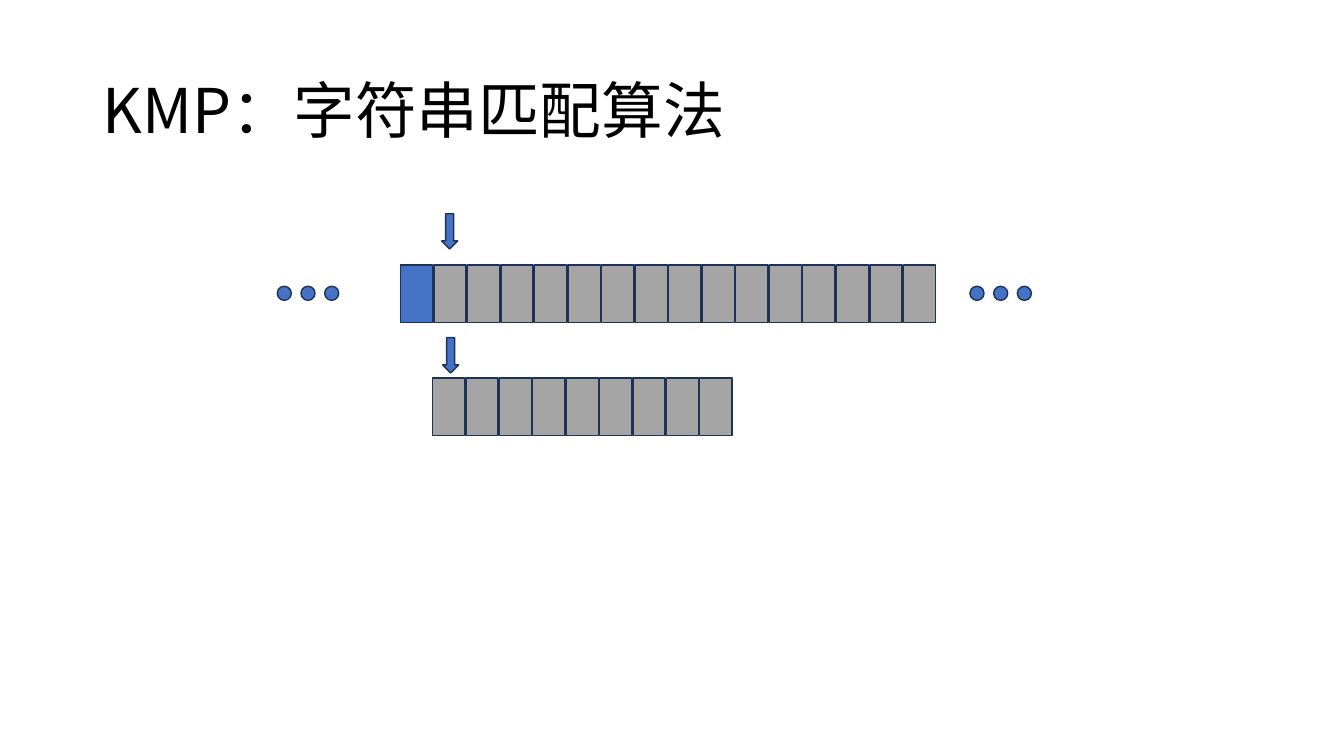
from lxml import etree
from pptx import Presentation
from pptx.dml.color import RGBColor
from pptx.enum.shapes import MSO_SHAPE
from pptx.enum.text import MSO_ANCHOR, PP_ALIGN
from pptx.oxml.ns import qn
from pptx.util import Inches, Pt

RECTANGLE = MSO_SHAPE.RECTANGLE
OVAL = MSO_SHAPE.OVAL
DOWN_ARROW = MSO_SHAPE.DOWN_ARROW
MIDDLE = MSO_ANCHOR.MIDDLE
LEFT = PP_ALIGN.LEFT

FONT = "Noto Sans CJK SC"
BLACK = "000000"
BLUE = "4472C4"
GRAY = "A5A5A5"
NAVY = "1E3256"

CELL_WIDTH, CELL_HEIGHT = 0.32, 0.57
DOT_SIZE, DOT_PITCH = 0.14, 0.235


def color(hex_string):
    return RGBColor.from_string(hex_string)


def add_title(slide, text):
    title = slide.shapes.title
    title.left, title.top = Inches(0.92), Inches(0.4)
    title.width, title.height = Inches(11.5), Inches(1.45)
    title.text_frame.vertical_anchor = MIDDLE
    title.text_frame.word_wrap = True
    paragraph = title.text_frame.paragraphs[0]
    run = paragraph.add_run()
    run.text = text
    paragraph.alignment = LEFT
    paragraph.line_spacing = 0.9
    run.font.size = Pt(44)
    run.font.name = FONT
    run.font.color.rgb = color(BLACK)
    latin = run.font._element.find(qn("a:latin"))
    east_asian = etree.Element(qn("a:ea"), typeface=FONT)
    latin.addnext(east_asian)


def add_figure(shapes, kind, left, top, width, height, fill):
    """Add an outlined preset shape to a slide or a group."""
    shape = shapes.add_shape(
        kind, Inches(left), Inches(top), Inches(width), Inches(height))
    shape.shadow.inherit = False
    shape.fill.solid()
    shape.fill.fore_color.rgb = color(fill)
    shape.line.color.rgb = color(NAVY)
    shape.line.width = Pt(1)


def add_cells(slide, first_left, last_left, top, fills):
    """Add a row of character cells spread evenly between two left edges."""
    pitch = (last_left - first_left) / (len(fills) - 1)
    for index, fill in enumerate(fills):
        add_figure(slide.shapes, RECTANGLE, first_left + index * pitch, top,
                   CELL_WIDTH, CELL_HEIGHT, fill)


def add_ellipsis(slide, left, top):
    group = slide.shapes.add_group_shape()
    for index in range(3):
        add_figure(group.shapes, OVAL, left + index * DOT_PITCH, top,
                   DOT_SIZE, DOT_SIZE, BLUE)


def add_pointer(slide, left, top):
    add_figure(slide.shapes, DOWN_ARROW, left, top, 0.16, 0.35, BLUE)


def main():
    presentation = Presentation()
    presentation.slide_width = Inches(13.33)
    presentation.slide_height = Inches(7.5)
    slide = presentation.slides.add_slide(presentation.slide_layouts[5])

    add_title(slide, "KMP：字符串匹配算法")
    add_cells(slide, 3.97, 8.96, 2.63, [BLUE] + [GRAY] * 15)
    add_ellipsis(slide, 2.75, 2.84)
    add_ellipsis(slide, 9.62, 2.84)
    add_cells(slide, 4.29, 6.94, 3.75, [GRAY] * 9)
    add_pointer(slide, 4.38, 2.12)
    add_pointer(slide, 4.39, 3.35)

    presentation.save("out.pptx")


if __name__ == "__main__":
    main()
